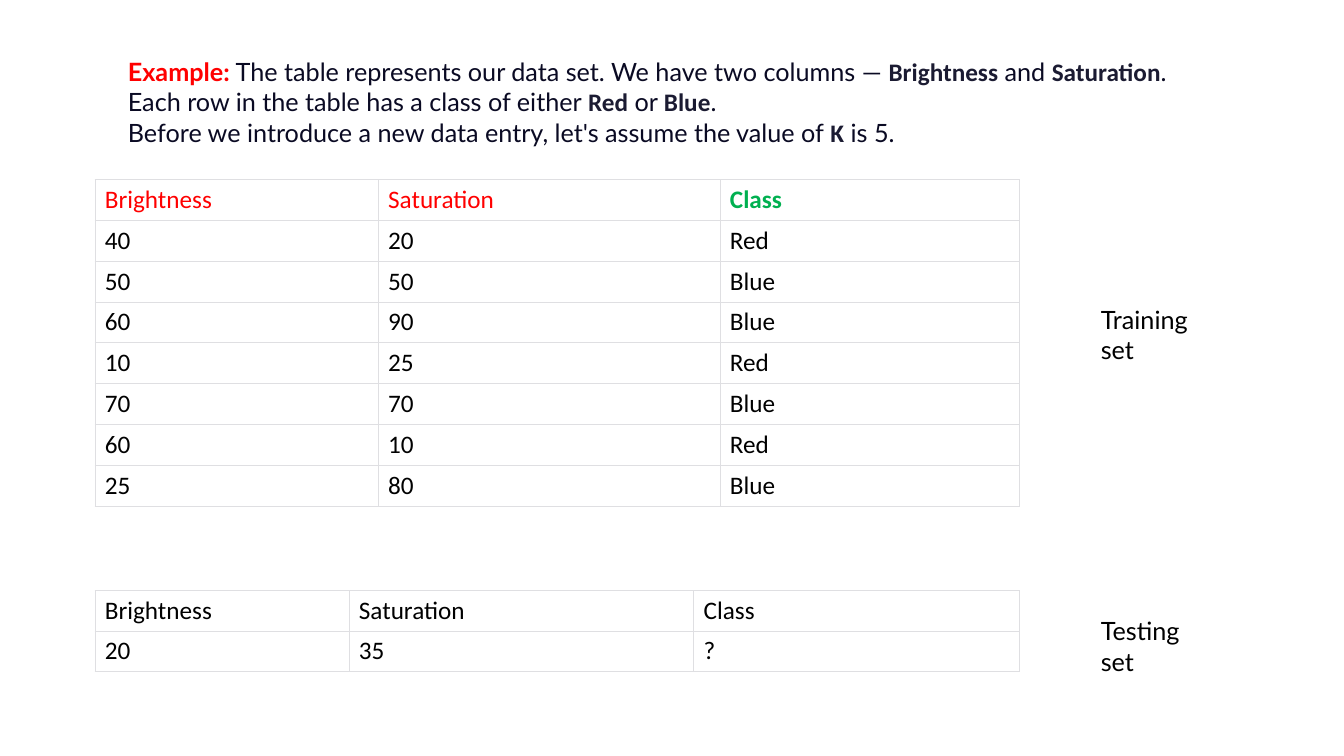
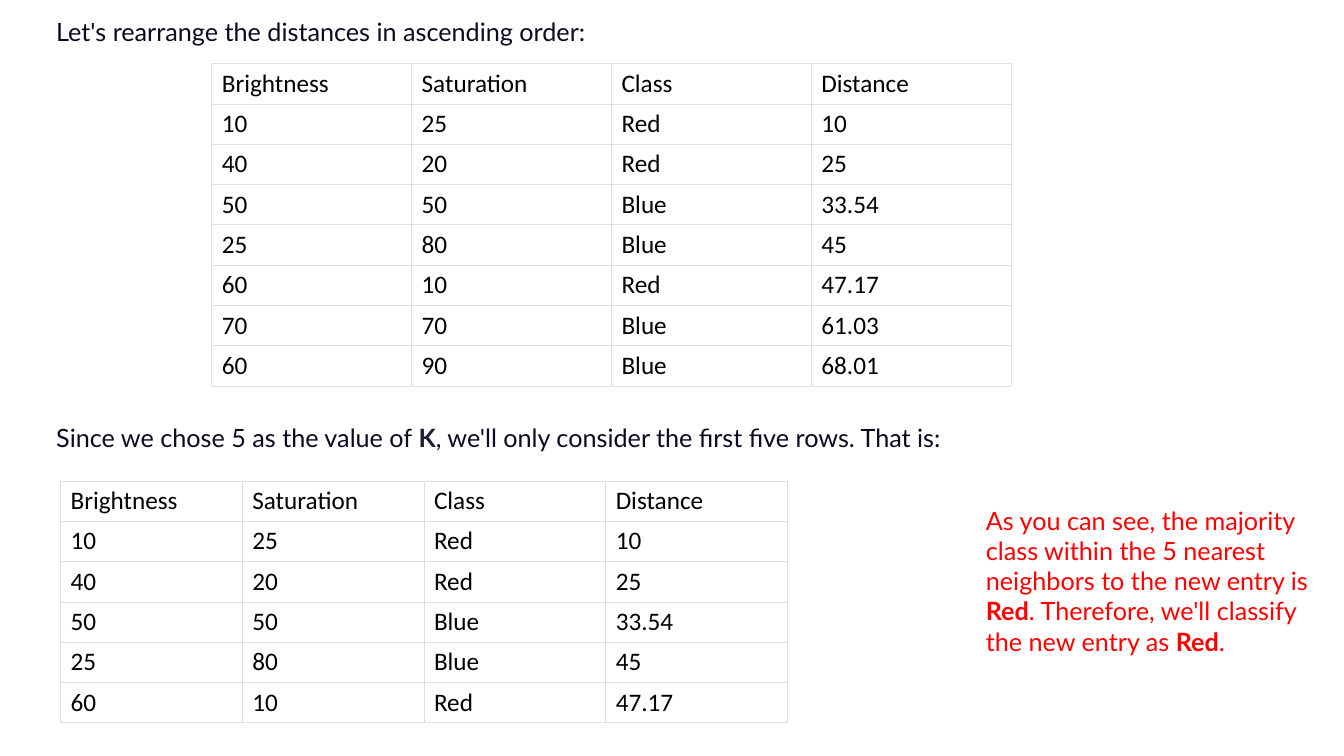
from lxml import etree
from pptx import Presentation
from pptx.dml.color import RGBColor
from pptx.enum.text import MSO_ANCHOR, MSO_AUTO_SIZE
from pptx.oxml.ns import qn
from pptx.util import Emu, Pt

PX = 9144
MIDDLE = MSO_ANCHOR.MIDDLE
GROW = MSO_AUTO_SIZE.SHAPE_TO_FIT_TEXT
BLANK_LAYOUT = 6
COLORS = {
    "ink": "0A0A23",
    "term": "1B1B32",
    "black": "000000",
    "red": "FF0000",
    "green": "00B050",
    "grid": "DFDFE2",
}
BODY = {"color": "ink"}
TERM = {"font": "Calibri", "color": "term", "bold": True}
KEY = {"color": "term", "bold": True}
ALERT = {"color": "red"}
ALERT_BOLD = {"color": "red", "bold": True}
PLAIN = {"color": "black"}
CELL = {"font": "Calibri", "color": "black"}
FEATURE = {"font": "Calibri", "color": "red"}
TARGET = {"font": "Calibri", "color": "green", "bold": True}

HEADINGS = ["Brightness", "Saturation", "Class"]
TRAINING = [
    ("40", "20", "Red"),
    ("50", "50", "Blue"),
    ("60", "90", "Blue"),
    ("10", "25", "Red"),
    ("70", "70", "Blue"),
    ("60", "10", "Red"),
    ("25", "80", "Blue"),
]
TESTING = [("20", "35", "?")]
RANKED = [
    ("10", "25", "Red", "10"),
    ("40", "20", "Red", "25"),
    ("50", "50", "Blue", "33.54"),
    ("25", "80", "Blue", "45"),
    ("60", "10", "Red", "47.17"),
    ("70", "70", "Blue", "61.03"),
    ("60", "90", "Blue", "68.01"),
]
K = 5


def px(value):
    return Emu(round(value * PX))


def add_text(paragraph, text, font="Lato", color="black", bold=False, size=18):
    run = paragraph.add_run()
    run.text = text
    run.font.name = font
    run.font.size = Pt(size)
    run.font.bold = bold
    run.font.color.rgb = RGBColor.from_string(COLORS[color])


def add_passage(slide, box, *paragraphs):
    frame = slide.shapes.add_textbox(*map(px, box)).text_frame
    frame.word_wrap = True
    frame.auto_size = GROW
    for index, pieces in enumerate(paragraphs):
        paragraph = frame.add_paragraph() if index else frame.paragraphs[0]
        for text, style in pieces:
            add_text(paragraph, text, **style)


def outline_cell(cell):
    properties = cell._tc.get_or_add_tcPr()
    for index, side in enumerate(("a:lnL", "a:lnR", "a:lnT", "a:lnB")):
        line = etree.Element(qn(side), w=str(Pt(0.48)))
        fill = etree.SubElement(line, qn("a:solidFill"))
        etree.SubElement(fill, qn("a:srgbClr"), val=COLORS["grid"])
        properties.insert(index, line)


def add_data_table(slide, box, widths, headings, records, heading_styles=None):
    rows = [headings, *records]
    left, top, width, height = box
    table = slide.shapes.add_table(
        len(rows), len(headings), px(left), px(top), px(width), px(height)
    ).table
    table.first_row = False
    table.horz_banding = False
    for column, column_width in zip(table.columns, widths):
        column.width = px(column_width)
    for row in table.rows:
        row.height = px(height / len(rows))
    for r, values in enumerate(rows):
        for c, value in enumerate(values):
            cell = table.cell(r, c)
            cell.margin_top = cell.margin_bottom = px(4)
            cell.vertical_anchor = MIDDLE
            cell.fill.background()
            outline_cell(cell)
            style = heading_styles[c] if heading_styles and r == 0 else CELL
            add_text(cell.text_frame.paragraphs[0], value, **style)


def add_distance_table(slide, box, records):
    headings = HEADINGS + ["Distance"]
    widths = [box[2] / len(headings)] * len(headings)
    add_data_table(slide, box, widths, headings, records)


def build_data_set_slide(slide):
    add_data_table(slide, (94, 178, 917, 324), (281, 339, 297), HEADINGS,
                   TRAINING, (FEATURE, FEATURE, TARGET))
    add_passage(
        slide, (117, 51, 1104, 101),
        [
            ("Example:", ALERT_BOLD),
            (" The table represents our data set. We have two columns — ", BODY),
            ("Brightness", TERM),
            (" and ", BODY),
            ("Saturation", TERM),
            (". Each row in the table has a class of either ", BODY),
            ("Red", TERM),
            (" or ", BODY),
            ("Blue", TERM),
            (".", BODY),
        ],
        [
            ("Before we introduce a new data entry, let's assume the value of ", BODY),
            ("K", TERM),
            (" is 5.", BODY),
        ],
    )
    add_data_table(slide, (94, 586, 917, 80), (252, 342, 323), HEADINGS, TESTING)
    add_passage(slide, (1082, 297, 138, 70), [("Training set", PLAIN)])
    add_passage(slide, (1082, 606, 128, 70), [("Testing set", PLAIN)])


def build_neighbors_slide(slide):
    add_passage(slide, (46, 11, 667, 40),
                [("Let's rearrange the distances in ascending order:", BODY)])
    add_distance_table(slide, (210, 63, 793, 320), RANKED)
    add_passage(
        slide, (46, 414, 1023, 40),
        [
            ("Since we chose 5 as the value of ", BODY),
            ("K", KEY),
            (", we'll only consider the first five rows. That is:", BODY),
        ],
    )
    add_distance_table(slide, (60, 477, 721, 240), RANKED[:K])
    add_passage(
        slide, (968, 496, 340, 192),
        [
            ("As you can see, the majority class within the 5 nearest neighbors "
             "to the new entry is ", ALERT),
            ("Red", ALERT_BOLD),
            (". Therefore, we'll classify the new entry as ", ALERT),
            ("Red", ALERT_BOLD),
            (".", ALERT),
        ],
    )


def main():
    deck = Presentation()
    deck.slide_width = px(1333)
    deck.slide_height = px(750)
    for build in (build_data_set_slide, build_neighbors_slide):
        build(deck.slides.add_slide(deck.slide_layouts[BLANK_LAYOUT]))
    deck.save("out.pptx")


if __name__ == "__main__":
    main()
